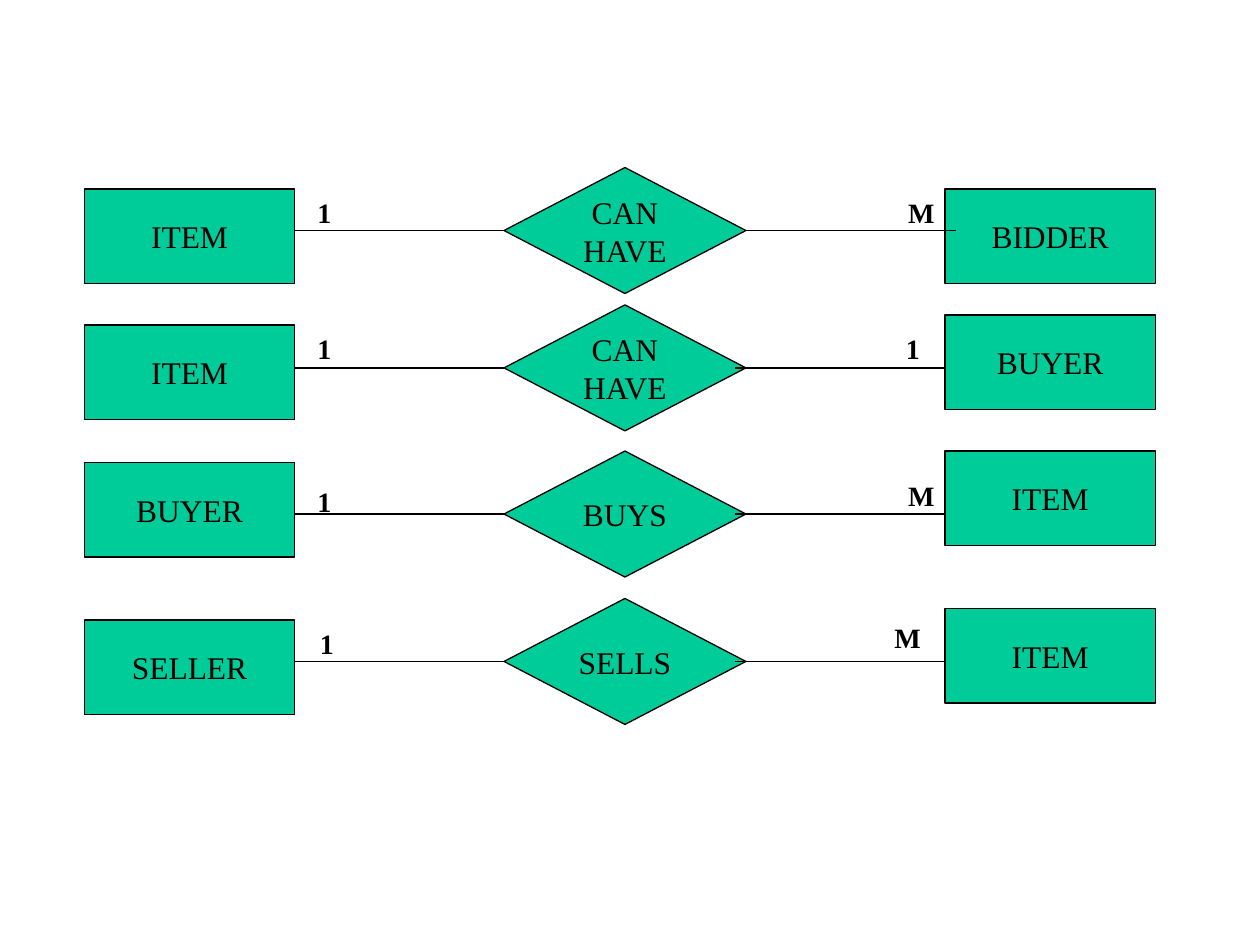
from collections import namedtuple
from dataclasses import dataclass

from lxml import etree
from pptx import Presentation
from pptx.dml.color import RGBColor
from pptx.enum.shapes import MSO_CONNECTOR as Conn, MSO_SHAPE as Shape
from pptx.enum.text import MSO_ANCHOR as Anchor, MSO_AUTO_SIZE as Auto, PP_ALIGN as Align
from pptx.oxml.ns import qn
from pptx.util import Inches, Pt


@dataclass(frozen=True)
class Theme:
    """Colours, font and sizes of the diagram."""
    fill: RGBColor = RGBColor(0x00, 0xCC, 0x99)
    ink: RGBColor = RGBColor(0, 0, 0)
    font: str = "Times New Roman"
    name_size: int = 18
    label_size: int = 16
    line: float = 0.75


THEME = Theme()
Box = namedtuple("Box", "x y w h")
End = namedtuple("End", "name dy label label_dx label_dy")
Relation = namedtuple("Relation", "top verb left right start", defaults=(5.16,))

ENTITY_W, ENTITY_H, VERB_X, VERB_W = 1.67, 0.75, 3.33, 1.92
ROW_X, ROW_W, ROW_H = 0.67, 8.5, 1

RELATIONS = [
    Relation(1.33, "CAN\nHAVE", End("ITEM", 0.17, "1", 1.75, 0.17),
             End("BIDDER", 0.17, "M", 6.44, 0.17), 5.25),
    Relation(2.42, "CAN\nHAVE", End("ITEM", 0.16, "1", 1.75, 0.16),
             End("BUYER", 0.08, "1", 6.42, 0.16)),
    Relation(3.58, "BUYS", End("BUYER", 0.09, "1", 1.75, 0.22),
             End("ITEM", 0, "M", 6.44, 0.17)),
    Relation(4.75, "SELLS", End("SELLER", 0.17, "1", 1.77, 0.17),
             End("ITEM", 0.08, "M", 6.33, 0.13)),
]


def write(tf, text, size, bold=False, align=Align.LEFT, anchor=Anchor.TOP):
    """Write one paragraph per line of text in the theme font."""
    tf.word_wrap = False
    tf.vertical_anchor = anchor
    for i, line in enumerate(text.split("\n")):
        p = tf.paragraphs[0] if i == 0 else tf.add_paragraph()
        p.alignment = align
        r = p.add_run()
        r.text = line
        r.font.name, r.font.size, r.font.bold = THEME.font, Pt(size), bold
        r.font.color.rgb = THEME.ink


def add_node(s, kind, box, text):
    """Add a filled, outlined shape with centred text."""
    sp = s.shapes.add_shape(kind, *map(Inches, box))
    sp.shadow.inherit = False
    sp.fill.solid()
    sp.fill.fore_color.rgb = THEME.fill
    sp.line.color.rgb = THEME.ink
    sp.line.width = Pt(THEME.line)
    write(sp.text_frame, text, THEME.name_size, align=Align.CENTER, anchor=Anchor.MIDDLE)
    return sp


def add_link(s, x1, x2, y):
    """Add a level line without shadow."""
    cn = s.shapes.add_connector(Conn.STRAIGHT, Inches(x1), Inches(y), Inches(x2), Inches(y))
    cn.line.color.rgb = THEME.ink
    cn.line.width = Pt(THEME.line)
    etree.SubElement(cn._element.spPr, qn("a:effectLst"))
    return cn


def add_label(s, x, y, text):
    """Add a bold cardinality label."""
    width = 0.41 if text == "M" else 0.31
    tb = s.shapes.add_textbox(Inches(x), Inches(y), Inches(width), Inches(0.37))
    write(tb.text_frame, text, THEME.label_size, bold=True)
    tb.text_frame.auto_size = Auto.SHAPE_TO_FIT_TEXT


def add_relation(s, box, rel):
    """Place two entities, their relationship, links and labels in a row."""
    right_x, verb_x = box.x + box.w - ENTITY_W, box.x + VERB_X
    for x, end in ((box.x, rel.left), (right_x, rel.right)):
        add_node(s, Shape.FLOWCHART_PROCESS, Box(x, box.y + end.dy, ENTITY_W, ENTITY_H), end.name)
    verb = add_node(s, Shape.FLOWCHART_DECISION, Box(verb_x, box.y, VERB_W, box.h), rel.verb)

    axis, start = box.y + box.h / 2, box.x + rel.start
    add_link(s, box.x + ENTITY_W, verb_x, axis).end_connect(verb, 1)
    link = add_link(s, start, start + ENTITY_W, axis)
    if rel.start == VERB_X + VERB_W:
        link.begin_connect(verb, 3)

    for end in (rel.left, rel.right):
        add_label(s, box.x + end.label_dx, box.y + end.label_dy, end.label)


def main():
    """Build the entity relationship slide."""
    prs = Presentation()
    prs.slide_width, prs.slide_height = Inches(10), Inches(7.5)
    s = prs.slides.add_slide(prs.slide_layouts[6])
    for rel in RELATIONS:
        add_relation(s, Box(ROW_X, rel.top, ROW_W, ROW_H), rel)
    prs.save("out.pptx")


if __name__ == "__main__":
    main()
